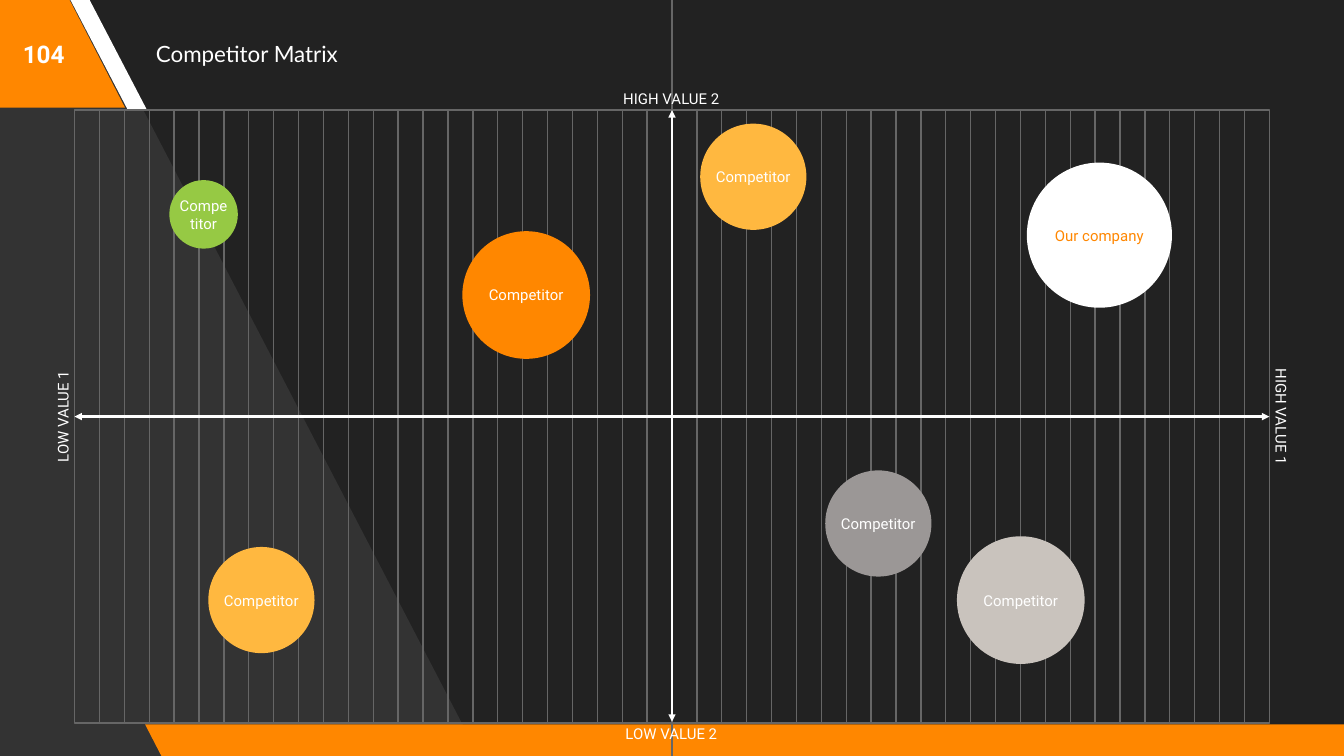
from pptx import Presentation
from pptx.dml.color import RGBColor
from pptx.enum.shapes import MSO_CONNECTOR, MSO_SHAPE
from pptx.enum.text import MSO_ANCHOR, MSO_AUTO_SIZE, PP_ALIGN
from pptx.oxml.ns import qn
from pptx.util import Inches, Pt
from lxml.etree import SubElement

COLORS = {
    "background": "222222", "panel": "333333", "grid": "666666",
    "orange": "FF8700", "amber": "FFB840", "green": "96C944",
    "gray": "9B9796", "sand": "C9C3BD", "white": "FFFFFF",
}
SLIDE_WIDTH = 10
SLIDE_HEIGHT = SLIDE_WIDTH * 9 / 16
TOP, WIDTH, HEIGHT = 0.82, 8.89, 4.56
LEFT = (SLIDE_WIDTH - WIDTH) / 2
COLUMNS = 48
CENTER_X, CENTER_Y = SLIDE_WIDTH / 2, TOP + HEIGHT / 2


def write_text(shape, text, size, color="white", font="Roboto", bold=False,
               align=PP_ALIGN.CENTER, inset=0):
    frame = shape.text_frame
    frame.auto_size = MSO_AUTO_SIZE.NONE
    frame.word_wrap = True
    frame.vertical_anchor = MSO_ANCHOR.MIDDLE
    frame.margin_left = frame.margin_right = Inches(inset)
    frame.margin_top = frame.margin_bottom = Inches(inset)
    para = frame.paragraphs[0]
    para.alignment = align
    span = para.add_run()
    span.text = text
    span.font.name = font
    span.font.size = Pt(size)
    span.font.bold = bold
    span.font.color.rgb = RGBColor.from_string(COLORS[color])


def add_line(x1, y1, x2, y2, color="grid", weight=0.75, arrows=False):
    line = slide.shapes.add_connector(
        MSO_CONNECTOR.STRAIGHT, Inches(x1), Inches(y1), Inches(x2), Inches(y2))
    line.line.color.rgb = RGBColor.from_string(COLORS[color])
    line.line.width = Pt(weight)
    if arrows:
        outline = line.line._get_or_add_ln()
        for end in ("a:headEnd", "a:tailEnd"):
            SubElement(outline, qn(end), type="triangle", w="sm", len="sm")
    SubElement(line._element.spPr, qn("a:effectLst"))


deck = Presentation()
deck.slide_width, deck.slide_height = Inches(SLIDE_WIDTH), Inches(SLIDE_HEIGHT)
slide = deck.slides.add_slide(deck.slide_layouts[5])
slide.background.fill.solid()
slide.background.fill.fore_color.rgb = RGBColor.from_string(COLORS["background"])

builder = slide.shapes.build_freeform(Inches(3.56), Inches(5.62))
corners = [(0.62, -0.04), (-0.06, -0.04), (-0.02, 5.66)]
builder.add_line_segments([(Inches(x), Inches(y)) for x, y in corners], close=True)
panel = builder.convert_to_shape()
panel.shadow.inherit = False
panel.fill.solid()
panel.fill.fore_color.rgb = RGBColor.from_string(COLORS["panel"])
panel.line.fill.background()

bands = [
    (-0.99, -0.02, 1.92, 0.82, 0.515, "orange"),
    (0.52, -0.01, 0.57, 0.82, 0.75, "white"),
    (1.08, 5.39, 9.15, 0.25, 0.515, "orange"),
]
for left, top, width, height, slant, color in bands:
    band = slide.shapes.add_shape(MSO_SHAPE.PARALLELOGRAM, Inches(left),
                                  Inches(top), Inches(width), Inches(height))
    band.adjustments[0] = slant
    band._element.spPr.xfrm.set("flipH", "1")
    band.shadow.inherit = False
    band.fill.solid()
    band.fill.fore_color.rgb = RGBColor.from_string(COLORS[color])
    band.line.fill.background()

title = slide.shapes.title
title.left, title.top = Inches(1.06), Inches(0)
title.width, title.height = Inches(8.43), Inches(0.8)
write_text(title, "Competitor Matrix", 12, font="Lato",
           align=PP_ALIGN.LEFT, inset=0.1)
slide.shapes._spTree.append(title._element)

frame_box = slide.shapes.add_shape(MSO_SHAPE.RECTANGLE, Inches(LEFT), Inches(TOP),
                                   Inches(WIDTH), Inches(HEIGHT))
frame_box.shadow.inherit = False
frame_box.fill.background()
frame_box.line.color.rgb = RGBColor.from_string(COLORS["grid"])
frame_box.line.width = Pt(0.75)

for column in range(1, COLUMNS):
    if column != COLUMNS // 2:
        x = LEFT + column * WIDTH / COLUMNS
        add_line(x, TOP, x, TOP + HEIGHT)

number_box = slide.shapes.add_textbox(0, 0, Inches(0.65), Inches(0.8))
write_text(number_box, "104", 13, bold=True, inset=0.1)

add_line(CENTER_X, 0, CENTER_X, SLIDE_HEIGHT)
add_line(CENTER_X, TOP, CENTER_X, 5.37, "white", 1.5, arrows=True)
add_line(LEFT, CENTER_Y, LEFT + WIDTH, CENTER_Y, "white", 1.5, arrows=True)

axis_labels = [
    ("LOW VALUE 1", -0.23, 3.01, 270),
    ("HIGH VALUE 1", 8.84, 3.01, 90),
    ("LOW VALUE 2", 4.3, 5.37, 0),
    ("HIGH VALUE 2", 4.3, 0.64, 0),
]
for text, left, top, rotation in axis_labels:
    label = slide.shapes.add_textbox(Inches(left), Inches(top),
                                     Inches(1.39), Inches(0.18))
    label.rotation = rotation
    write_text(label, text, 8)

bubbles = [
    ("Our company", 7.64, 1.21, 1.08, "white", "orange"),
    ("Competitor", 3.44, 1.72, 0.95, "orange", "white"),
    ("Competitor", 1.55, 4.07, 0.79, "amber", "white"),
    ("Competitor", 6.14, 3.5, 0.79, "gray", "white"),
    ("Competitor", 7.12, 3.99, 0.95, "sand", "white"),
    ("Competitor", 5.21, 0.92, 0.79, "amber", "white"),
    ("Competitor", 1.26, 1.34, 0.51, "green", "white"),
]
for text, left, top, size, fill, color in bubbles:
    bubble = slide.shapes.add_shape(MSO_SHAPE.OVAL, Inches(left), Inches(top),
                                    Inches(size), Inches(size))
    bubble.shadow.inherit = False
    bubble.fill.solid()
    bubble.fill.fore_color.rgb = RGBColor.from_string(COLORS[fill])
    bubble.line.fill.background()
    write_text(bubble, text, 8, color)

deck.save("out.pptx")
